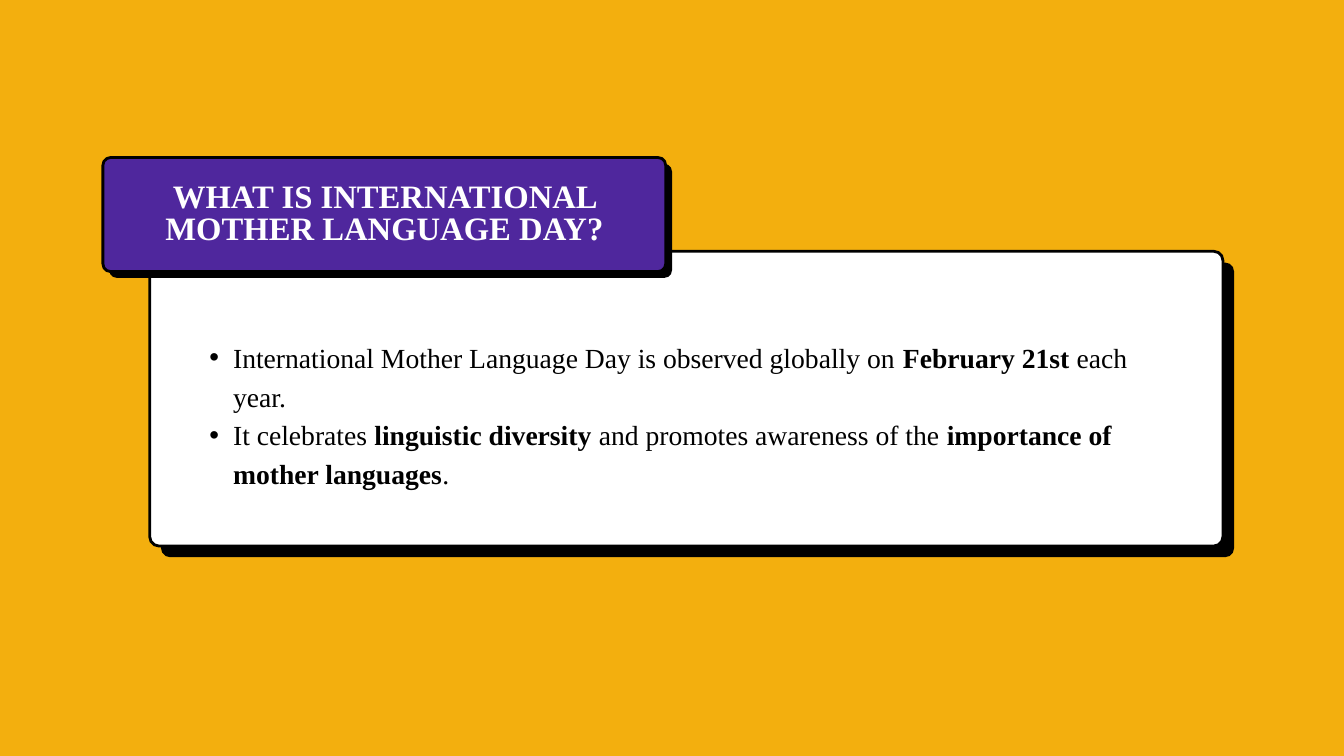
"""Build the slide that explains International Mother Language Day."""
from lxml.etree import SubElement
from pptx import Presentation
from pptx.dml.color import RGBColor
from pptx.enum.shapes import MSO_SHAPE
from pptx.enum.text import MSO_ANCHOR, MSO_AUTO_SIZE, PP_ALIGN
from pptx.oxml.ns import qn
from pptx.util import Pt

PX = 9525
FONT = "Times New Roman"
BLACK, WHITE, PURPLE, AMBER = "000000", "FFFFFF", "4F279D", "F3AF0E"


def paint(color_format, color):
    color_format.rgb = RGBColor.from_string(color)


def add_run(paragraph, text, size, color, bold):
    run = paragraph.add_run()
    run.text = text
    run.font.name = FONT
    run.font.size = Pt(size)
    run.font.bold = bold
    paint(run.font.color, color)


presentation = Presentation()
presentation.slide_width = 1920 * PX
presentation.slide_height = 1080 * PX
slide = presentation.slides.add_slide(presentation.slide_layouts[5])
slide.background.fill.solid()
paint(slide.background.fill.fore_color, AMBER)

cards = [
    (214, 359, 1533, 421, 13, 16, WHITE),
    (147, 225, 804, 163, 11, 9, PURPLE),
]
for left, top, width, height, radius, offset, color in cards:
    for shift, fill_color in ((offset, BLACK), (0, color)):
        shape = slide.shapes.add_shape(
            MSO_SHAPE.ROUNDED_RECTANGLE,
            (left + shift) * PX, (top + shift) * PX, width * PX, height * PX)
        shape.adjustments[0] = radius / height
        shape.shadow.inherit = False
        shape.fill.solid()
        paint(shape.fill.fore_color, fill_color)
        if shift:
            shape.line.fill.background()
        else:
            paint(shape.line.color, BLACK)
            shape.line.width = Pt(3)

title = slide.shapes.title
slide.shapes.element.append(title.element)
title.left, title.top, title.width, title.height = (
    197 * PX, 261 * PX, 705 * PX, 97 * PX)
body = slide.shapes.add_textbox(266 * PX, 479 * PX, 1409 * PX, 224 * PX)
for box in (title, body):
    frame = box.text_frame
    frame.word_wrap = True
    frame.auto_size = MSO_AUTO_SIZE.NONE
    frame.vertical_anchor = MSO_ANCHOR.TOP
    frame.margin_left = frame.margin_right = 0
    frame.margin_top = frame.margin_bottom = 0

heading = title.text_frame.paragraphs[0]
heading.alignment = PP_ALIGN.CENTER
heading.line_spacing = Pt(34.6)
heading.space_before = Pt(0)
add_run(heading, "WHAT IS INTERNATIONAL MOTHER LANGUAGE DAY?", 35, WHITE, True)

facts = [
    [("International Mother Language Day is observed globally on ", False),
     ("February 21st", True), (" each year.", False)],
    [("It celebrates ", False), ("linguistic diversity", True),
     (" and promotes awareness of the ", False),
     ("importance of mother languages", True), (".", False)],
]
for index, fact in enumerate(facts):
    frame = body.text_frame
    paragraph = frame.add_paragraph() if index else frame.paragraphs[0]
    paragraph.alignment = PP_ALIGN.LEFT
    paragraph.line_spacing = Pt(41.4)
    properties = paragraph._p.get_or_add_pPr()
    properties.set("marL", str(67 * PX))
    properties.set("indent", str(-34 * PX))
    SubElement(properties, qn("a:buFont"), typeface="Arial")
    SubElement(properties, qn("a:buChar"), char="•")
    for text, bold in fact:
        add_run(paragraph, text, 29.6, BLACK, bold)

presentation.save("out.pptx")
